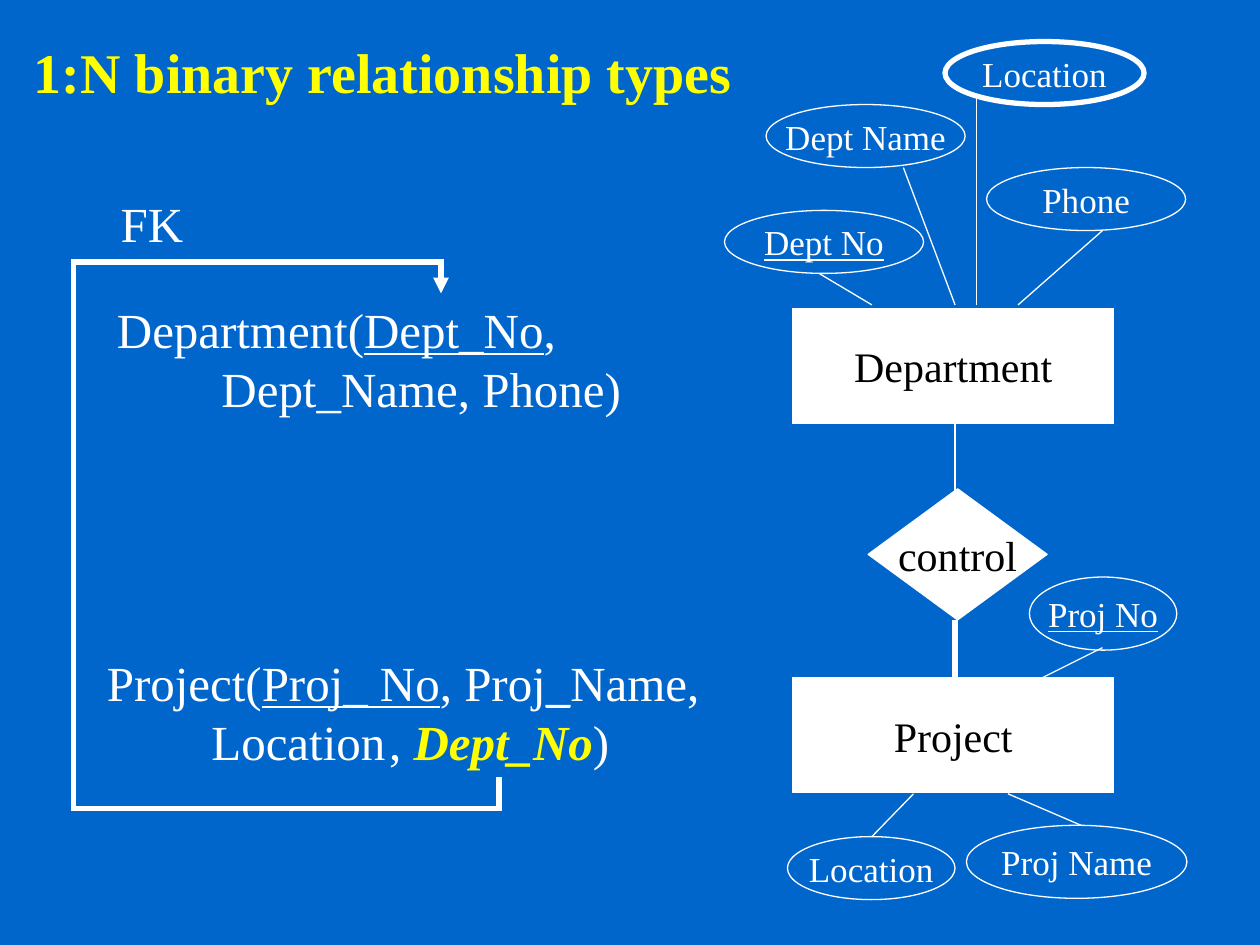
from dataclasses import dataclass

from lxml import etree
from pptx import Presentation
from pptx.dml.color import RGBColor
from pptx.enum.shapes import MSO_CONNECTOR, MSO_SHAPE
from pptx.enum.text import MSO_ANCHOR, MSO_AUTO_SIZE, PP_ALIGN
from pptx.oxml.ns import qn
from pptx.util import Inches, Pt

STRAIGHT, ELBOW = MSO_CONNECTOR.STRAIGHT, MSO_CONNECTOR.ELBOW
RECT, DIAMOND, OVAL = MSO_SHAPE.RECTANGLE, MSO_SHAPE.DIAMOND, MSO_SHAPE.OVAL
MIDDLE, CENTER = MSO_ANCHOR.MIDDLE, PP_ALIGN.CENTER
GROW = MSO_AUTO_SIZE.SHAPE_TO_FIT_TEXT


@dataclass(frozen=True)
class Theme:
    font: str = "Times New Roman"
    back: RGBColor = RGBColor(0x00, 0x66, 0xCC)
    light: RGBColor = RGBColor(0xFF, 0xFF, 0xFF)
    dark: RGBColor = RGBColor(0x01, 0x00, 0x00)
    accent: RGBColor = RGBColor(0xFF, 0xFF, 0x00)
    title: int = 32
    schema: int = 28
    entity: int = 24
    attribute: int = 20
    thin: float = 0.75
    medium: float = 1
    thick: float = 3


T = Theme()

# Run styles: b bold, i italic, u underlined, y accent colour
TITLE = [("1:N binary relationship types", "by")]
# left, top, width, height, hanging indent, wraps, runs
SCHEMAS = [
    (0.75, 5.13, 5.75, 1.04, 0.83, True,
     [("Project(", ""), ("Proj", "u"), ("_", "iu"), (" No", "u"),
      (", Proj", ""), ("_", "iu"), ("Name, Location", "")]),
    (0.83, 2.33, 5.33, 1.04, 0.83, True,
     [("Department(", ""), ("Dept_No", "u"), (", Dept_Name, Phone)", "")]),
    (2.99, 5.6, 1.96, 0.57, 0, False,
     [(", ", ""), ("Dept_No", "biy"), (")", "")]),
    (0.86, 1.49, 0.71, 0.57, 0, False, [("FK", "")]),
]
# shape, label, left, top, width, height
ENTITIES = [
    (RECT, "Department", 6.29, 2.45, 2.55, 0.91),
    (RECT, "Project", 6.29, 5.38, 2.55, 0.91),
    (DIAMOND, "control", 6.89, 3.88, 1.42, 1.04),
]
# label, run style, left, top, width, height, line width
ATTRIBUTES = [
    ("Proj No", "u", 8.17, 4.58, 1.17, 0.58, T.thin),
    ("Proj Name", "", 7.67, 6.55, 1.75, 0.58, T.thin),
    ("Location", "", 6.25, 6.64, 1.33, 0.5, T.thin),
    ("Dept No", "u", 5.75, 1.67, 1.58, 0.5, T.thin),
    ("Dept Name", "", 6.08, 0.83, 1.58, 0.5, T.thin),
    ("Location", "", 7.5, 0.33, 1.58, 0.5, T.thick),
    ("Phone", "", 7.83, 1.33, 1.58, 0.5, T.thin),
]
# x and y of both ends
ATTRIBUTE_LINKS = [
    (8.25, 5.39, 8.75, 5.14),
    (6.92, 6.64, 7.25, 6.3),
    (8.58, 6.55, 8, 6.3),
    (6.92, 2.42, 6.5, 2.17),
    (7.58, 2.42, 7.17, 1.33),
    (7.75, 2.42, 7.75, 0.75),
    (8.08, 2.42, 8.75, 1.83),
]
DEPARTMENT_LINK = (7.58, 3.25, 7.58, 4)
PROJECT_LINK = (7.58, 4.92, 7.58, 5.5)
FK_START, FK_END = (3.96, 6.17), (3.5, 2.33)
FK_BOTTOM, FK_LEFT, FK_TOP = 6.42, 0.58, 2.08


def write(p, runs, size, color):
    for text, style in runs:
        r = p.add_run()
        r.text = text
        font = r.font
        font.name, font.size = T.font, Pt(size)
        font.bold, font.italic = "b" in style, "i" in style
        font.underline = "u" in style
        font.color.rgb = T.accent if "y" in style else color


def add_text(s, box, runs, size, indent=0, wrap=True):
    tf = s.shapes.add_textbox(*map(Inches, box)).text_frame
    tf.word_wrap = wrap
    tf.auto_size = GROW
    p = tf.paragraphs[0]
    if indent:
        pPr = p._p.get_or_add_pPr()
        pPr.set("marL", str(Inches(indent)))
        pPr.set("indent", str(-Inches(indent)))
    write(p, runs, size, T.light)


def add_node(s, kind, box, runs, size, color, width=T.thin, filled=True):
    sp = s.shapes.add_shape(kind, *map(Inches, box))
    sp.shadow.inherit = False
    if filled:
        sp.fill.solid()
        sp.fill.fore_color.rgb = T.light
    else:
        sp.fill.background()
    sp.line.color.rgb = T.light
    sp.line.width = Pt(width)
    tf = sp.text_frame
    tf.word_wrap = False
    tf.vertical_anchor = MIDDLE
    p = tf.paragraphs[0]
    p.alignment = CENTER
    write(p, runs, size, color)


def add_link(s, ends, width, kind=STRAIGHT):
    link = s.shapes.add_connector(kind, *map(Inches, ends))
    link.line.color.rgb = T.light
    link.line.width = Pt(width)
    etree.SubElement(link._element.spPr, qn("a:effectLst"))
    return link


def add_fk_arrow(s):
    """Five-part elbow, drawn sideways and turned so that it starts downwards."""
    (x1, y1), (x2, y2) = FK_START, FK_END
    run, rise = y1 - y2, x1 - x2
    cx, cy = (x1 + x2) / 2, (y1 + y2) / 2
    ends = (cx - run / 2, cy + rise / 2, cx + run / 2, cy - rise / 2)
    link = add_link(s, ends, T.thick, ELBOW)
    spPr = link._element.spPr
    spPr.find(qn("a:xfrm")).set("rot", str(270 * 60000))
    geom = spPr.find(qn("a:prstGeom"))
    geom.set("prst", "bentConnector5")
    guides = geom.find(qn("a:avLst"))
    bends = ((y1 - FK_BOTTOM) / run, (x1 - FK_LEFT) / rise, (y1 - FK_TOP) / run)
    for i, bend in enumerate(bends, 1):
        etree.SubElement(guides, qn("a:gd"), name=f"adj{i}",
                         fmla=f"val {round(bend * 100000)}")
    ln = spPr.find(qn("a:ln"))
    etree.SubElement(ln, qn("a:miter"), lim="800000")
    etree.SubElement(ln, qn("a:tailEnd"), type="triangle")


def main():
    prs = Presentation()
    prs.slide_width, prs.slide_height = Inches(10), Inches(7.5)
    s = prs.slides.add_slide(prs.slide_layouts[6])
    s.background.fill.solid()
    s.background.fill.fore_color.rgb = T.back

    add_link(s, DEPARTMENT_LINK, T.medium)
    add_text(s, (0.17, 0.25, 8.5, 0.61), TITLE, T.title)
    for kind, label, *box in ENTITIES:
        add_node(s, kind, box, [(label, "")], T.entity, T.dark)
    for label, style, *box, width in ATTRIBUTES:
        add_node(s, OVAL, box, [(label, style)], T.attribute, T.light, width,
                 filled=False)
    for ends in ATTRIBUTE_LINKS:
        add_link(s, ends, T.thin)
    for *box, indent, wrap, runs in SCHEMAS:
        add_text(s, box, runs, T.schema, indent, wrap)
    add_fk_arrow(s)
    add_link(s, PROJECT_LINK, T.thick)

    prs.save("out.pptx")


if __name__ == "__main__":
    main()
